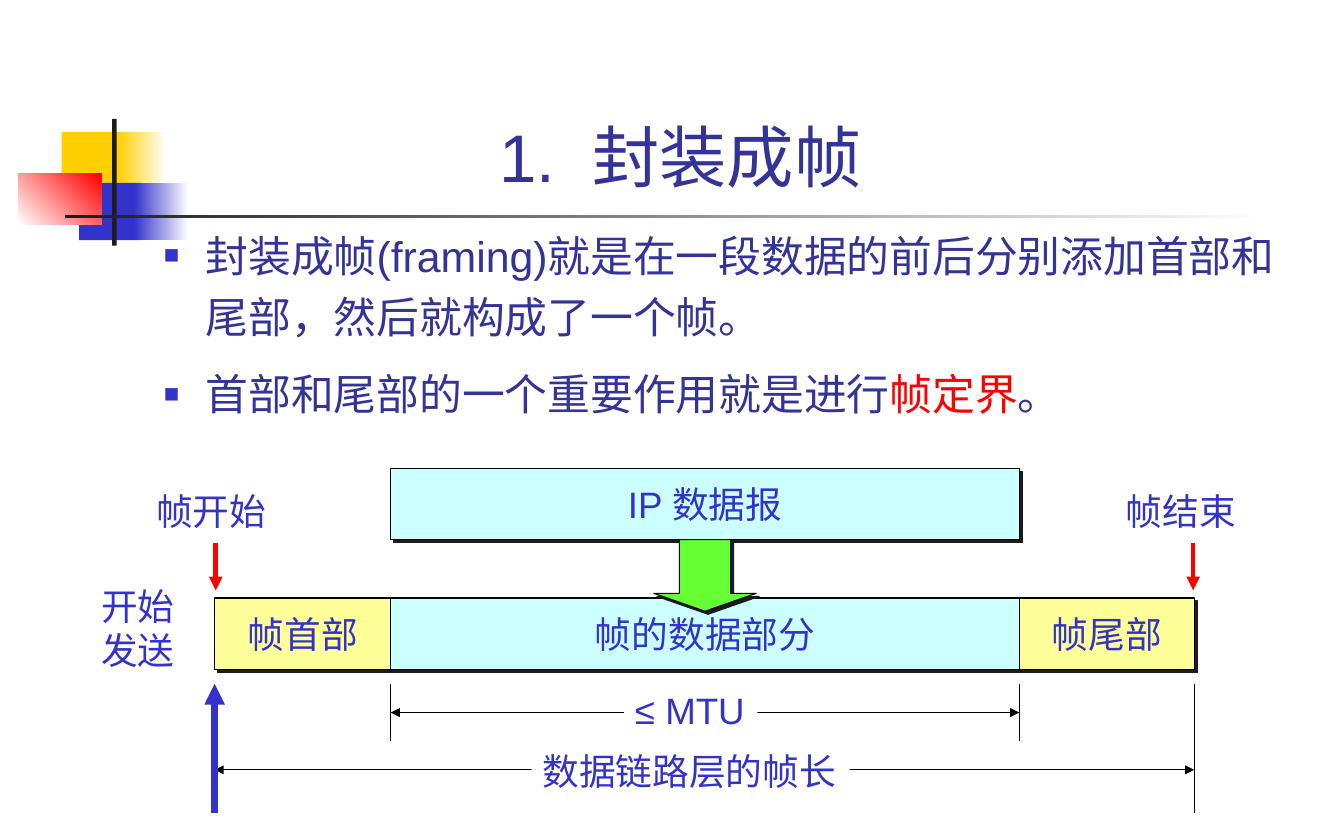
import pptx
import pptx.util
import pptx.dml.color
import pptx.enum.shapes
import pptx.enum.text
import pptx.oxml
import pptx.oxml.ns
import lxml.etree

Inches, Pt = pptx.util.Inches, pptx.util.Pt
SHAPE = pptx.enum.shapes.MSO_SHAPE
ALIGN = pptx.enum.text.PP_ALIGN
ANCHOR = pptx.enum.text.MSO_ANCHOR
qn = pptx.oxml.ns.qn

COLORS = {
    "white": "FFFFFF", "black": "000000", "ink": "1C1C1C", "gold": "FFCF01",
    "blue": "3333CC", "navy": "333399", "red": "FF0000", "yellow": "FFFF99",
    "cyan": "CCFFFF", "green": "66FF33",
}

# left, top, width, height, fill (one colour, or start and end), angle
DECORATION = [
    (0.56, 1.2, 0.58, 0.52, ("gold",), 0),
    (1.07, 1.2, 0.44, 0.52, ("gold", "white"), 0),
    (0.72, 1.66, 0.56, 0.52, ("blue",), 0),
    (1.22, 1.66, 0.49, 0.52, ("blue", "white"), 0),
    (0.17, 1.58, 0.75, 0.46, ("white", "red"), 45),
    (1.02, 1.08, 0.04, 1.15, ("ink",), 0),
    (0.59, 1.95, 10.98, 0.03, ("ink", "white"), 0),
]
TITLE = ("1.", " ", "封装成帧")
BULLETS = [
    [("封装成帧(framing)就是在一段数据的前后分别添加首部和尾部，然后就构成了一个帧。", "navy")],
    [("首部和尾部的一个重要作用就是进行", "navy"), ("帧定界", "red"), ("。", "navy")],
]
FRAME_PARTS = [("帧首部", "yellow"), ("帧的数据部分", "cyan"), ("帧尾部", "yellow")]
DATAGRAM = "IP 数据报"
# text lines, left, top, width, height
LABELS = [
    (["帧开始"], 1.32, 4.39, 1.21, 0.5),
    (["帧结束"], 10.13, 4.39, 1.21, 0.5),
    (["开始", "发送"], 0.82, 5.25, 0.88, 0.91),
    (["≤ MTU"], 5.67, 6.2, 1.21, 0.5),
    (["数据链路层的帧长"], 4.83, 6.75, 2.89, 0.5),
]
EDGES = [1.95, 3.55, 9.26, 10.85]  # borders between the frame parts
DATAGRAM_TOP, FRAME_TOP, PART_HEIGHT = 4.25, 5.43, 0.65
RULE_TOP, MTU_BOTTOM, FRAME_BOTTOM = 6.21, 6.73, 7.38
MTU_Y, FRAME_LENGTH_Y = 6.47, 6.99

prs = pptx.Presentation()
prs.slide_width, prs.slide_height = Inches(12.21), Inches(7.5)
s = prs.slides.add_slide(prs.slide_layouts[6])


def rgb(name):
    return pptx.dml.color.RGBColor.from_string(COLORS[name])


def add_run(p, text, size, color):
    r = p.add_run()
    r.text = text
    for key, value in {"name": "Arial", "size": Pt(size)}.items():
        setattr(r.font, key, value)
    r.font.color.rgb = rgb(color)
    return r


def add_shape(kind, x, y, w, h, fill, angle=0):
    sp = s.shapes.add_shape(kind, Inches(x), Inches(y), Inches(w), Inches(h))
    sp.shadow.inherit = False
    sp.line.fill.background()
    if len(fill) == 1:
        sp.fill.solid()
        sp.fill.fore_color.rgb = rgb(fill[0])
    else:
        sp.fill.gradient()
        sp.fill.gradient_angle = angle
        for stop, color in zip(sp.fill.gradient_stops, fill):
            stop.color.rgb = rgb(color)
    return sp


def outline(sp):
    """Give a shape a thin black border and a hard shadow to the lower right."""
    sp.line.color.rgb = rgb("black")
    sp.line.width = Pt(0.75)
    effects = sp._element.spPr.find(qn("a:effectLst"))
    shadow = lxml.etree.SubElement(effects, qn("a:outerShdw"), blurRad="0",
                                   dist=str(Pt(2.8)), dir="2700000",
                                   algn="ctr", rotWithShape="0")
    lxml.etree.SubElement(shadow, qn("a:srgbClr"), val=COLORS["ink"])


def write(sp, lines, align, anchor):
    tf = sp.text_frame
    tf.word_wrap = False
    tf.vertical_anchor = anchor
    for i, line in enumerate(lines):
        p = tf.add_paragraph() if i else tf.paragraphs[0]
        p.alignment = align
        add_run(p, line, 24, "blue")


def add_part(text, color, x1, x2, y):
    sp = add_shape(SHAPE.RECTANGLE, x1, y, x2 - x1, PART_HEIGHT, (color,))
    outline(sp)
    write(sp, [text], ALIGN.CENTER, ANCHOR.MIDDLE)


def add_line(x1, y1, x2, y2, color="black", width=0.75, ends=()):
    cn = s.shapes.add_connector(pptx.enum.shapes.MSO_CONNECTOR.STRAIGHT,
                                Inches(x1), Inches(y1), Inches(x2), Inches(y2))
    cn.line.color.rgb = rgb(color)
    cn.line.width = Pt(width)
    for end in ends:
        lxml.etree.SubElement(cn.line._ln, qn("a:" + end), type="triangle")
    lxml.etree.SubElement(cn._element.spPr, qn("a:effectLst"))


def add_bullet(p):
    pPr = p._p.get_or_add_pPr()
    pPr.set("marL", str(Inches(0.38)))
    pPr.set("indent", str(Inches(-0.38)))
    color = lxml.etree.SubElement(pPr, qn("a:buClr"))
    lxml.etree.SubElement(color, qn("a:srgbClr"), val=COLORS["blue"])
    lxml.etree.SubElement(pPr, qn("a:buSzPct"), val="60000")
    lxml.etree.SubElement(pPr, qn("a:buFont"), typeface="Arial")
    lxml.etree.SubElement(pPr, qn("a:buChar"), char="■")


def add_text_box(x, y, w, h):
    tf = s.shapes.add_textbox(Inches(x), Inches(y), Inches(w), Inches(h)).text_frame
    tf.word_wrap = True
    return tf


def add_heading_and_bullets():
    tf = add_text_box(1.54, 0.23, 9.28, 1.6)
    tf.vertical_anchor = ANCHOR.BOTTOM
    p = tf.paragraphs[0]
    p.alignment = ALIGN.CENTER
    for text in TITLE:
        r = add_run(p, text, 44, "navy")
        if text == " ":
            r.font._element.set("spc", "1200")  # widen the gap after the number

    tf = add_text_box(1.39, 1.94, 10.38, 2.13)
    for i, runs in enumerate(BULLETS):
        p = tf.add_paragraph() if i else tf.paragraphs[0]
        add_bullet(p)
        p.line_spacing = 1.2
        if i:
            p.space_before = Pt(10)
        for text, color in runs:
            add_run(p, text, 28, color)


def add_frame_diagram():
    left, data_left, data_right, right = EDGES
    add_part(DATAGRAM, "cyan", data_left, data_right, DATAGRAM_TOP)
    for (text, color), x1, x2 in zip(FRAME_PARTS, EDGES, EDGES[1:]):
        add_part(text, color, x1, x2, FRAME_TOP)

    both = ("headEnd", "tailEnd")
    add_line(data_left, MTU_Y, data_right, MTU_Y, ends=both)
    add_line(left, FRAME_LENGTH_Y, right, FRAME_LENGTH_Y, ends=both)
    add_line(left, RULE_TOP, left, FRAME_BOTTOM, "blue", 4.5, ("headEnd",))
    add_line(right, RULE_TOP, right, FRAME_BOTTOM)
    for x in (data_left, data_right):
        add_line(x, RULE_TOP, x, MTU_BOTTOM)

    arrow = add_shape(SHAPE.DOWN_ARROW, 5.94, 4.9, 0.93, 0.65, ("green",))
    arrow.adjustments[0], arrow.adjustments[1] = 0.5, 0.25
    outline(arrow)
    for lines, *box in LABELS:
        write(add_shape(SHAPE.RECTANGLE, *box, ("white",)), lines, ALIGN.LEFT, ANCHOR.TOP)
    for x in (left + 0.01, right - 0.01):
        add_line(x, 5.36, x, 4.93, "red", 3, ("headEnd",))


for x, y, w, h, fill, angle in DECORATION:
    add_shape(SHAPE.RECTANGLE, x, y, w, h, fill, angle)
add_heading_and_bullets()
add_frame_diagram()
prs.save("out.pptx")
